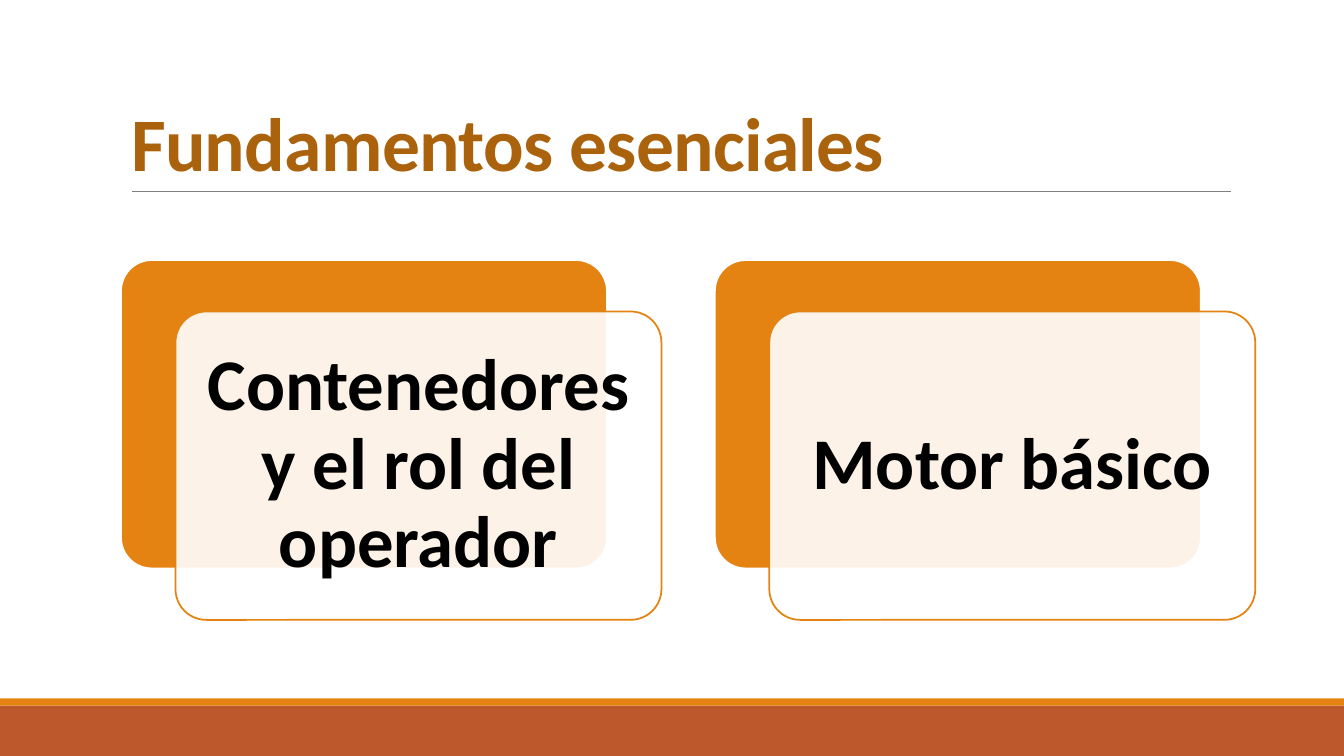
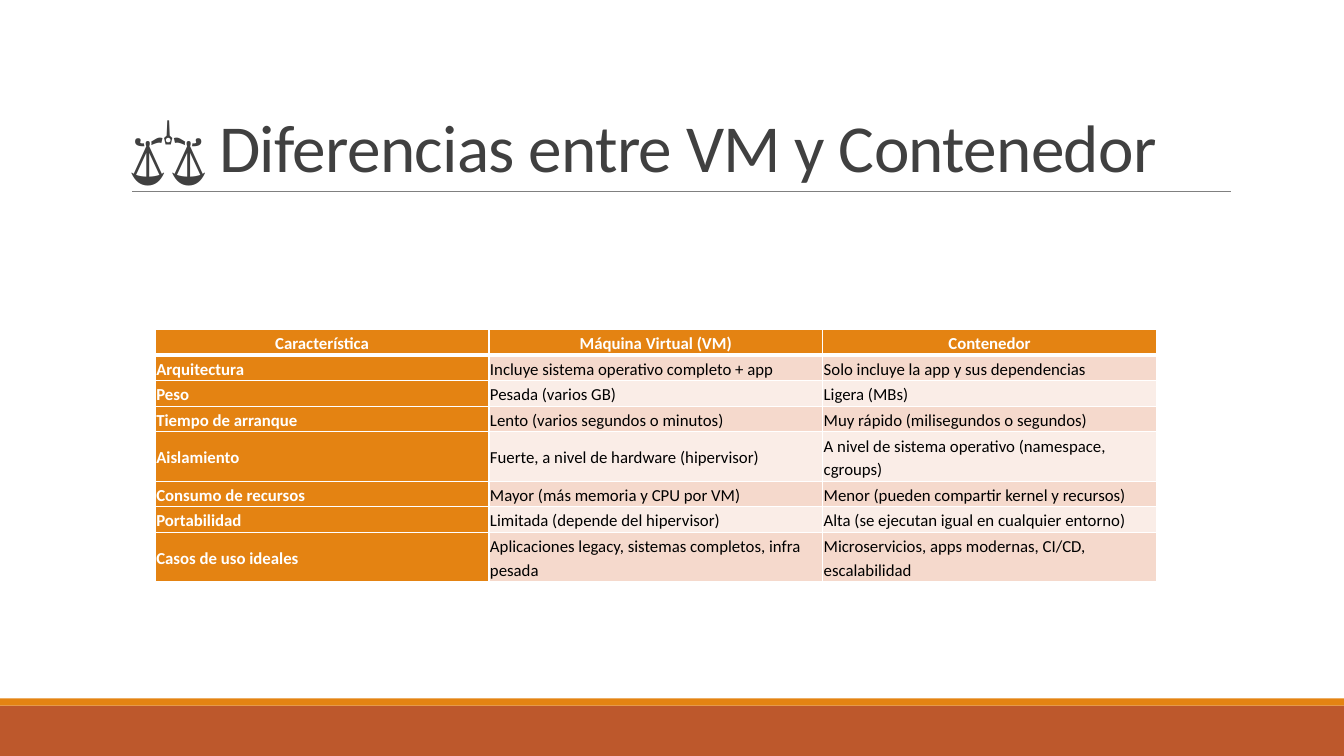
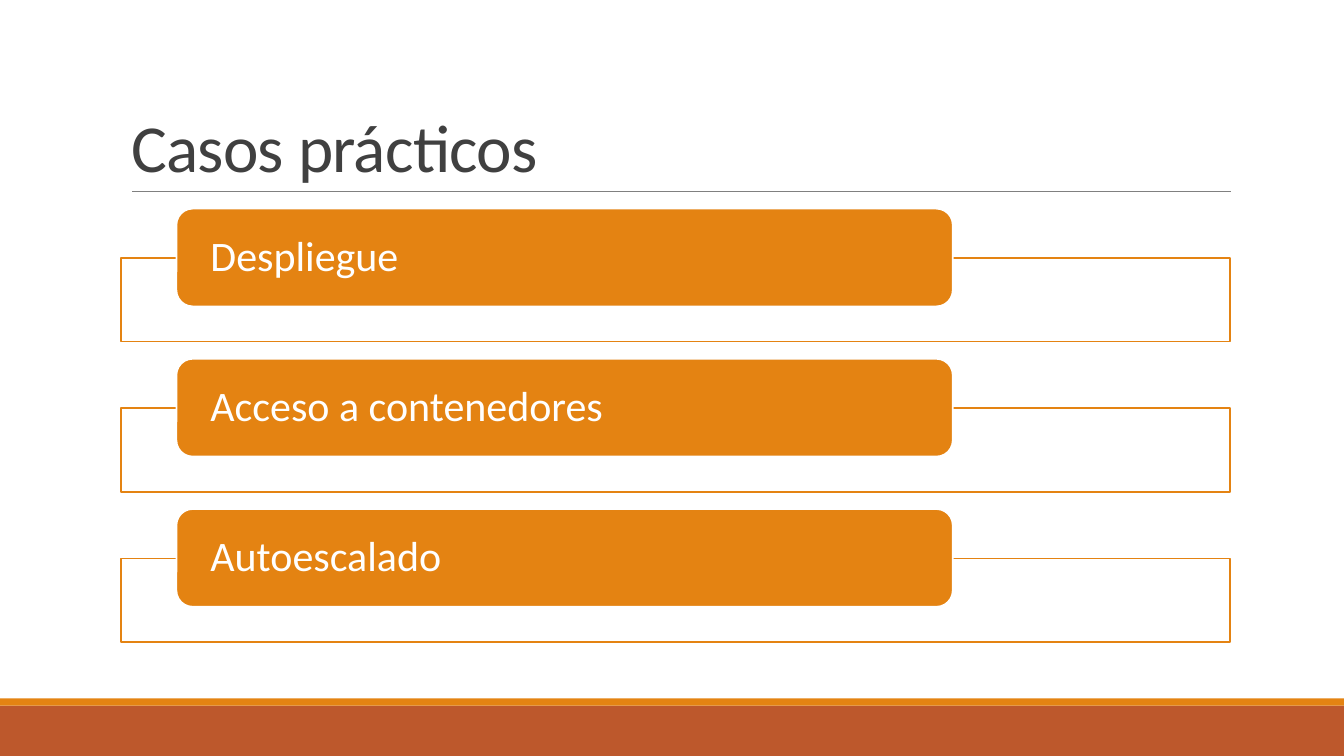
from lxml import etree
from pptx import Presentation
from pptx.dml.color import RGBColor
from pptx.enum.shapes import MSO_CONNECTOR, MSO_SHAPE
from pptx.enum.text import MSO_ANCHOR, MSO_AUTO_SIZE, PP_ALIGN
from pptx.oxml.ns import qn
from pptx.util import Pt

PX = 9144
RECT, ROUND = MSO_SHAPE.RECTANGLE, MSO_SHAPE.ROUNDED_RECTANGLE
STRAIGHT = MSO_CONNECTOR.STRAIGHT
LEFT, CENTER = PP_ALIGN.LEFT, PP_ALIGN.CENTER
MIDDLE, BOTTOM = MSO_ANCHOR.MIDDLE, MSO_ANCHOR.BOTTOM
NO_AUTOFIT = MSO_AUTO_SIZE.NONE
TITLE_ONLY = 5

FONT = "Calibri"
ORANGE, RUST, BROWN = "E48312", "BD582C", "AB620D"
WHITE, BLACK, GRAPHITE, GRAY = "FFFFFF", "000000", "404040", "808080"
BANDS = ("F5D9CC", "FAEDE7")

TOPICS = ["Contenedores y el rol del operador", "Motor básico"]
COMPARISON = [
    ("Característica", "Máquina Virtual (VM)", "Contenedor"),
    ("Arquitectura", "Incluye sistema operativo completo + app",
     "Solo incluye la app y sus dependencias"),
    ("Peso", "Pesada (varios GB)", "Ligera (MBs)"),
    ("Tiempo de arranque", "Lento (varios segundos o minutos)",
     "Muy rápido (milisegundos o segundos)"),
    ("Aislamiento", "Fuerte, a nivel de hardware (hipervisor)",
     "A nivel de sistema operativo (namespace, cgroups)"),
    ("Consumo de recursos", "Mayor (más memoria y CPU por VM)",
     "Menor (pueden compartir kernel y recursos)"),
    ("Portabilidad", "Limitada (depende del hipervisor)",
     "Alta (se ejecutan igual en cualquier entorno)"),
    ("Casos de uso ideales", "Aplicaciones legacy, sistemas completos, infra pesada",
     "Microservicios, apps modernas, CI/CD, escalabilidad"),
]
TWO_LINE_ROWS = (4, 7)
CASES = ["Despliegue", "Acceso a contenedores", "Autoescalado"]


def px(*lengths):
    return [length * PX for length in lengths]


def rgb(value):
    return RGBColor.from_string(value)


def paint(fill, color, opacity=100):
    fill.solid()
    fill.fore_color.rgb = rgb(color)
    if opacity < 100:
        tint = fill.fore_color._xFill.find(qn("a:srgbClr"))
        etree.SubElement(tint, qn("a:alpha"), val=str(opacity * 1000))


def inset(holder, x, y, anchor=MIDDLE):
    holder.margin_left = holder.margin_right = x * PX
    holder.margin_top = holder.margin_bottom = y * PX
    holder.vertical_anchor = anchor


def write(frame, text, size, color, bold=False, align=LEFT, leading=0.9, after=0, tracking=0):
    paragraph = frame.paragraphs[0]
    paragraph.alignment = align
    paragraph.line_spacing = leading
    paragraph.space_after = Pt(after)
    run = paragraph.add_run()
    run.text = text
    run.font.name = FONT
    run.font.size = Pt(size)
    run.font.bold = bold
    run.font.color.rgb = rgb(color)
    if tracking:
        run._r.get_or_add_rPr().set("spc", str(tracking))


def panel(slide, preset, box, color, border=None, opacity=100, corner=None):
    shape = slide.shapes.add_shape(preset, *px(*box))
    shape.shadow.inherit = False
    paint(shape.fill, color, opacity)
    if border:
        shape.line.color.rgb = rgb(border)
        shape.line.width = Pt(1.25)
    else:
        shape.line.fill.background()
    if corner:
        shape.adjustments[0] = corner
    shape.text_frame.word_wrap = True
    return shape


def new_slide(deck, heading, size=48, color=GRAPHITE, bold=False):
    slide = deck.slides.add_slide(deck.slide_layouts[TITLE_ONLY])
    panel(slide, RECT, (0, 700, 1333, 50), RUST)
    panel(slide, RECT, (0, 693, 1333, 7), ORANGE)
    rule = slide.shapes.add_connector(STRAIGHT, *px(131, 190, 1221, 190))
    rule.line.color.rgb = rgb(GRAY)
    rule.line.width = Pt(0.5)
    etree.SubElement(rule._element.spPr, qn("a:effectLst"))
    title = slide.shapes.title
    title.left, title.top, title.width, title.height = px(120, 31, 1100, 159)
    frame = title.text_frame
    frame.word_wrap = True
    frame.auto_size = NO_AUTOFIT
    inset(frame, 10, 5, BOTTOM)
    write(frame, heading, size, color, bold=bold, leading=0.85, tracking=-50)
    return slide


def topic_card(slide, topic, left, top, width, height):
    panel(slide, ROUND, (left, top, width, height), ORANGE, WHITE, corner=0.1)
    front = panel(slide, ROUND, (left + 54, top + 51, width, height), WHITE, ORANGE,
                  opacity=90, corner=0.1)
    inset(front.text_frame, 22, 22)
    write(front.text_frame, topic, 52, BLACK, bold=True, align=CENTER)


def case_row(slide, case, left, top, width):
    panel(slide, RECT, (left, top + 49, width, 83), WHITE, ORANGE, opacity=90)
    label = panel(slide, ROUND, (left + 55, top, width * 7 // 10, 97), ORANGE, WHITE)
    inset(label.text_frame, 29, 0)
    write(label.text_frame, case, 30, WHITE)


def cell_borders(cell, **widths):
    properties = cell._tc.get_or_add_tcPr()
    for side in "LRTB":
        edge = etree.SubElement(properties, qn(f"a:ln{side}"),
                                w=str(Pt(widths.get(side, 1))))
        solid = etree.SubElement(edge, qn("a:solidFill"))
        etree.SubElement(solid, qn("a:srgbClr"), val=WHITE)


def comparison_table(slide, left, top, width):
    heights = [49 if row in TWO_LINE_ROWS else 25 for row in range(len(COMPARISON))]
    columns = len(COMPARISON[0])
    table = slide.shapes.add_table(len(COMPARISON), columns,
                                   *px(left, top, width, sum(heights))).table
    table.first_col = True
    for column in table.columns:
        column.width = width * PX // columns
    for r, features in enumerate(COMPARISON):
        table.rows[r].height = heights[r] * PX
        for c, feature in enumerate(features):
            cell = table.cell(r, c)
            heading = r == 0 or c == 0
            inset(cell, 1, 1)
            cell_borders(cell, T=3 if r == 1 else 1, B=3 if r == 0 else 1)
            paint(cell.fill, ORANGE if heading else BANDS[(r - 1) % 2])
            write(cell.text_frame, feature, 12, WHITE if heading else BLACK, bold=heading,
                  align=CENTER if r == 0 else LEFT, leading=1.15, after=8)


def main():
    deck = Presentation()
    deck.slide_width, deck.slide_height = px(1333, 750)

    fundamentals = new_slide(deck, "Fundamentos esenciales", size=54, color=BROWN, bold=True)
    for index, topic in enumerate(TOPICS):
        topic_card(fundamentals, topic, 120 + 589 * index, 258, 482, 306)

    differences = new_slide(deck, "⚖️ Diferencias entre VM y Contenedor")
    comparison_table(differences, 154, 327, 993)

    practice = new_slide(deck, "Casos prácticos")
    for index, case in enumerate(CASES):
        case_row(practice, case, 120, 207 + 149 * index, 1100)

    deck.save("out.pptx")


if __name__ == "__main__":
    main()
